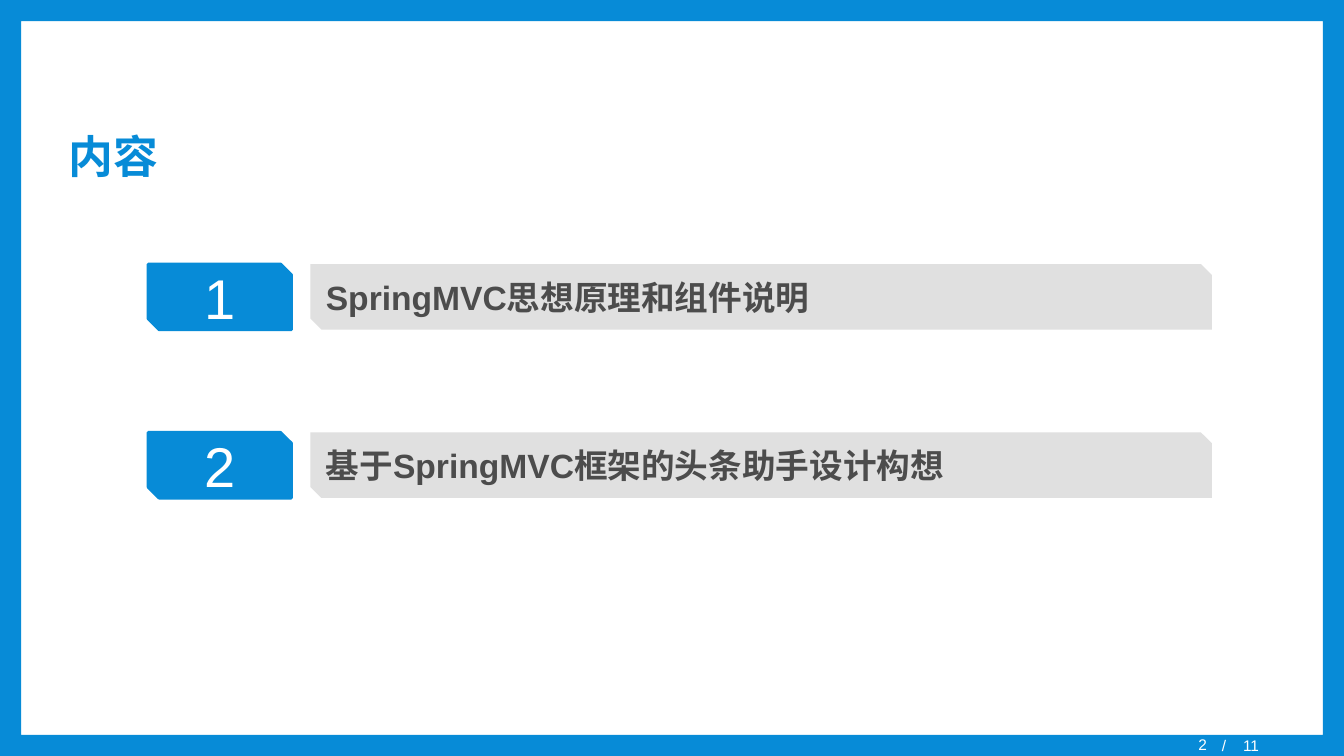
from lxml import etree
from pptx import Presentation
from pptx.dml.color import RGBColor
from pptx.enum.shapes import MSO_SHAPE as Shape
from pptx.enum.text import MSO_ANCHOR as Anchor, PP_ALIGN as Align
from pptx.oxml.ns import qn
from pptx.util import Inches, Pt

TITLE = "内容"
TOPICS = ["SpringMVC思想原理和组件说明", "基于SpringMVC框架的头条助手设计构想"]
PAGE_NUMBER = "2"
PAGE_TOTAL = "/\t11"

BLUE, GREY, DARK, WHITE = "078BD7", "E0E0E0", "4C4C4C", "FFFFFF"
FIRST_TOP, ROW_STEP, ROW_HEIGHT = 2.62, 1.67, 0.65
NUMBER_LEFT, NUMBER_WIDTH = 1.47, 1.42
TOPIC_LEFT, TOPIC_WIDTH = 3.08, 8.94


def color(hex_value):
    return RGBColor.from_string(hex_value)


def write(box, text, size, hex_value, bold=False, align=Align.LEFT):
    frame = box.text_frame
    frame.text = text
    frame.word_wrap = True
    frame.vertical_anchor = Anchor.MIDDLE
    para = frame.paragraphs[0]
    para.alignment = align
    for span in para.runs:
        span.font.name = "Arial"
        span.font.size = Pt(size)
        span.font.bold = bold
        span.font.color.rgb = color(hex_value)


def add_filled(page, kind, area, fill, line=None):
    shape = page.shapes.add_shape(kind, *map(Inches, area))
    shape.shadow.inherit = False
    shape.fill.solid()
    shape.fill.fore_color.rgb = color(fill)
    if line:
        shape.line.color.rgb = color(line)
        shape.line.width = Pt(2.25)
    else:
        shape.line.fill.background()
    return shape


def add_footer(page, area, text, align=Align.LEFT):
    box = page.shapes.add_textbox(*map(Inches, area))
    write(box, text, 11, WHITE, align=align)
    return box


def add_tab_stop(para, position):
    tabs = etree.SubElement(para._p.get_or_add_pPr(), qn("a:tabLst"))
    etree.SubElement(tabs, qn("a:tab"), pos=str(Inches(position)), algn="l")


deck = Presentation()
deck.slide_width, deck.slide_height = Inches(13.33), Inches(7.5)
page = deck.slides.add_slide(deck.slide_layouts[5])

border = add_filled(page, Shape.FRAME, (0, 0, 13.33, 7.5), BLUE)
border.adjustments[0] = 0.028
title = page.shapes.title
page.shapes._spTree.remove(border._element)
title._element.addprevious(border._element)

title.left, title.top = Inches(0.58), Inches(1.15)
title.width, title.height = Inches(12.18), Inches(0.79)
write(title, TITLE, 32, BLUE, bold=True)

total = add_footer(page, (12.02, 7.3, 1.31, 0.18), PAGE_TOTAL)
add_tab_stop(total.text_frame.paragraphs[0], 0.21)
number = add_footer(page, (9.48, 7.32, 2.59, 0.18), PAGE_NUMBER, Align.RIGHT)
number.text_frame.margin_top = 0

for index, topic in enumerate(TOPICS):
    top = FIRST_TOP + index * ROW_STEP
    badge = add_filled(page, Shape.SNIP_2_DIAG_RECTANGLE,
                       (NUMBER_LEFT, top, NUMBER_WIDTH, ROW_HEIGHT), BLUE, BLUE)
    write(badge, str(index + 1), 40, WHITE, align=Align.CENTER)
    bar = add_filled(page, Shape.SNIP_2_DIAG_RECTANGLE,
                     (TOPIC_LEFT, top, TOPIC_WIDTH, ROW_HEIGHT), GREY)
    write(bar, topic, 24, DARK, bold=True)

deck.save("out.pptx")
